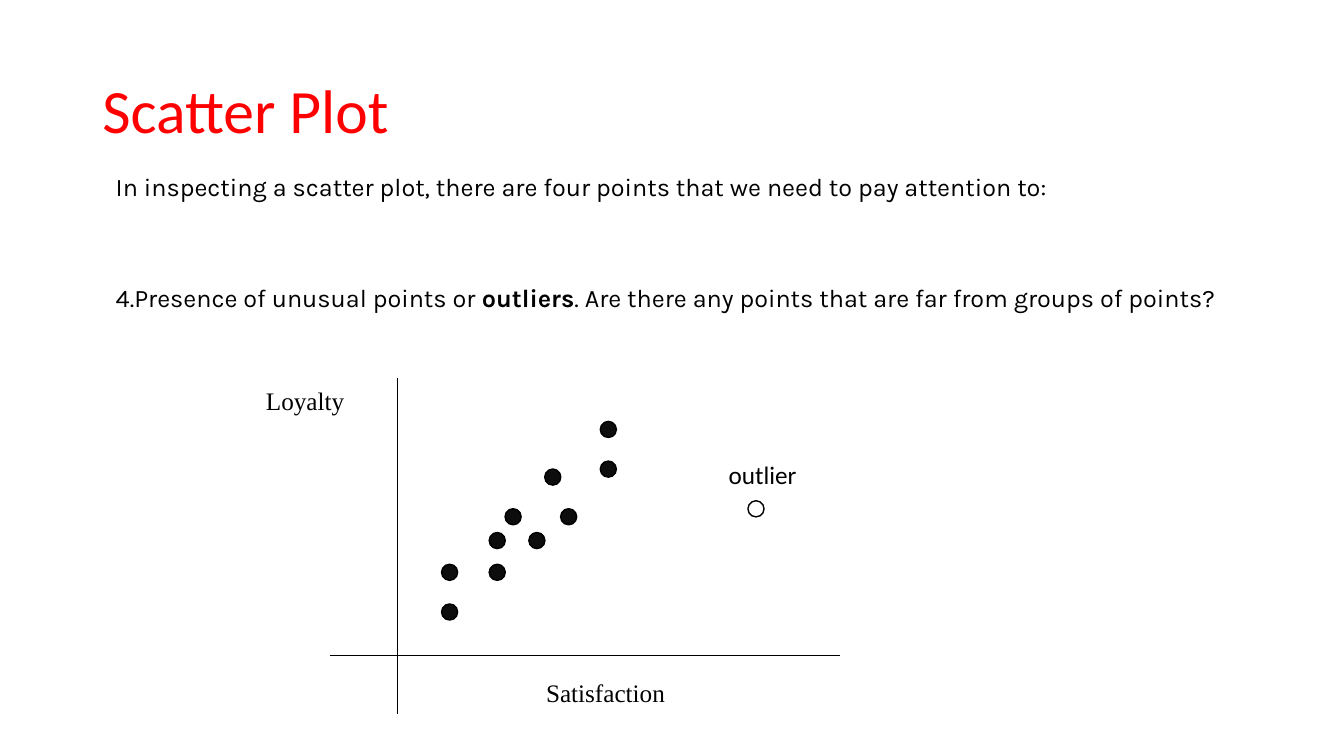
import pptx
import pptx.dml.color
import pptx.enum.shapes
import pptx.enum.text
import pptx.oxml
import pptx.oxml.ns
import pptx.util
from pptx.util import Pt

COLORS = {"title": "FF0000", "text": "000000", "line": "000000", "dot": "0D0D0D"}
BODY, AXIS, LABEL = "Karla", "Times New Roman", "Calibri"
ANCHOR = pptx.enum.text.MSO_ANCHOR
DOT = 11.5
# Dots lie on a regular grid, as (column, row) from its top left corner
GRID_LEFT, GRID_TOP, GRID_STEP = 315.4, 301, 5.67
DOTS = [(6, 14), (0, 18), (6, 18), (8, 11), (11, 14),
        (13, 6), (15, 11), (0, 23), (20, 0), (20, 5)]
OUTLIER = (38.6, 10)


def rgb(name):
    return pptx.dml.color.RGBColor.from_string(COLORS[name])


class Drawing:
    def __init__(self, slide, size=18):
        self.slide = slide
        self.shapes = slide.shapes
        self.size = size

    def start_group(self):
        """Send all further elements into one new group."""
        self.shapes = self.slide.shapes.add_group_shape().shapes

    def text(self, text, left, top, width, height=29, font=BODY, size=None,
             color="text", bold=None, anchor=ANCHOR.TOP, wrap=True,
             spacing=None, number=None):
        """Add a text box; bold names the part in bold, number starts a list."""
        sp = self.shapes.add_textbox(Pt(left), Pt(top), Pt(width), Pt(height))
        tf = sp.text_frame
        tf.word_wrap = wrap
        tf.vertical_anchor = anchor
        p = tf.paragraphs[0]
        if spacing:
            p.line_spacing = spacing
        if number:
            pPr = p._p.get_or_add_pPr()
            bullet = pptx.oxml.parse_xml(
                f'<a:buAutoNum {pptx.oxml.ns.nsdecls("a")} '
                f'type="arabicPeriod" startAt="{number}"/>')
            pPr.append(bullet)
        before, strong, after = text.partition(bold) if bold else (text, "", "")
        for part in filter(None, (before, strong, after)):
            r = p.add_run()
            r.text = part
            r.font.name = font
            r.font.size = Pt(size or self.size)
            r.font.color.rgb = rgb(color)
            r.font.bold = part == bold
        return sp

    def line(self, x1, y1, x2, y2):
        cxn = self.shapes.add_connector(
            pptx.enum.shapes.MSO_CONNECTOR.STRAIGHT, Pt(x1), Pt(y1), Pt(x2), Pt(y2))
        cxn.line.color.rgb = rgb("line")
        cxn.line.width = Pt(0.75)
        cxn._element.spPr.append(
            pptx.oxml.parse_xml(f'<a:effectLst {pptx.oxml.ns.nsdecls("a")}/>'))

    def dot(self, column, row, filled=True):
        sp = self.shapes.add_shape(
            pptx.enum.shapes.MSO_SHAPE.OVAL, Pt(GRID_LEFT + column * GRID_STEP),
            Pt(GRID_TOP + row * GRID_STEP), Pt(DOT), Pt(DOT))
        sp.shadow.inherit = False
        sp.line.color.rgb = rgb("line")
        sp.line.width = Pt(1)
        if filled:
            sp.fill.solid()
            sp.fill.fore_color.rgb = rgb("dot")
        else:
            sp.fill.background()


def main():
    prs = pptx.Presentation()
    prs.slide_width, prs.slide_height = Pt(960), Pt(540)
    d = Drawing(prs.slides.add_slide(prs.slide_layouts[6]))

    d.text("Scatter Plot", 66, 28.8, 828, 104.4, font=LABEL, size=44,
           color="title", anchor=ANCHOR.MIDDLE, spacing=0.9)
    d.text("In inspecting a scatter plot, there are four points that we need "
           "to pay attention to:", 75.6, 118.8, 729.4)
    d.text("Presence of unusual points or\u00a0outliers. Are there any points that "
           "are far from groups of points?", 75.6, 198, 828,
           bold="outliers", number=4)

    d.start_group()
    d.line(283.7, 270, 283.7, 510)
    d.line(235.5, 468.2, 600, 468.2)
    d.text("Satisfaction", 383, 480.2, 131.8, font=AXIS)
    d.text("Loyalty", 182.9, 271.4, 138.2, font=AXIS)
    for column, row in DOTS:
        d.dot(column, row)
    d.dot(*OUTLIER, filled=False)
    d.text("outlier", 513.4, 324.7, 63.4, font=LABEL, wrap=False)

    prs.save("out.pptx")


if __name__ == "__main__":
    main()
